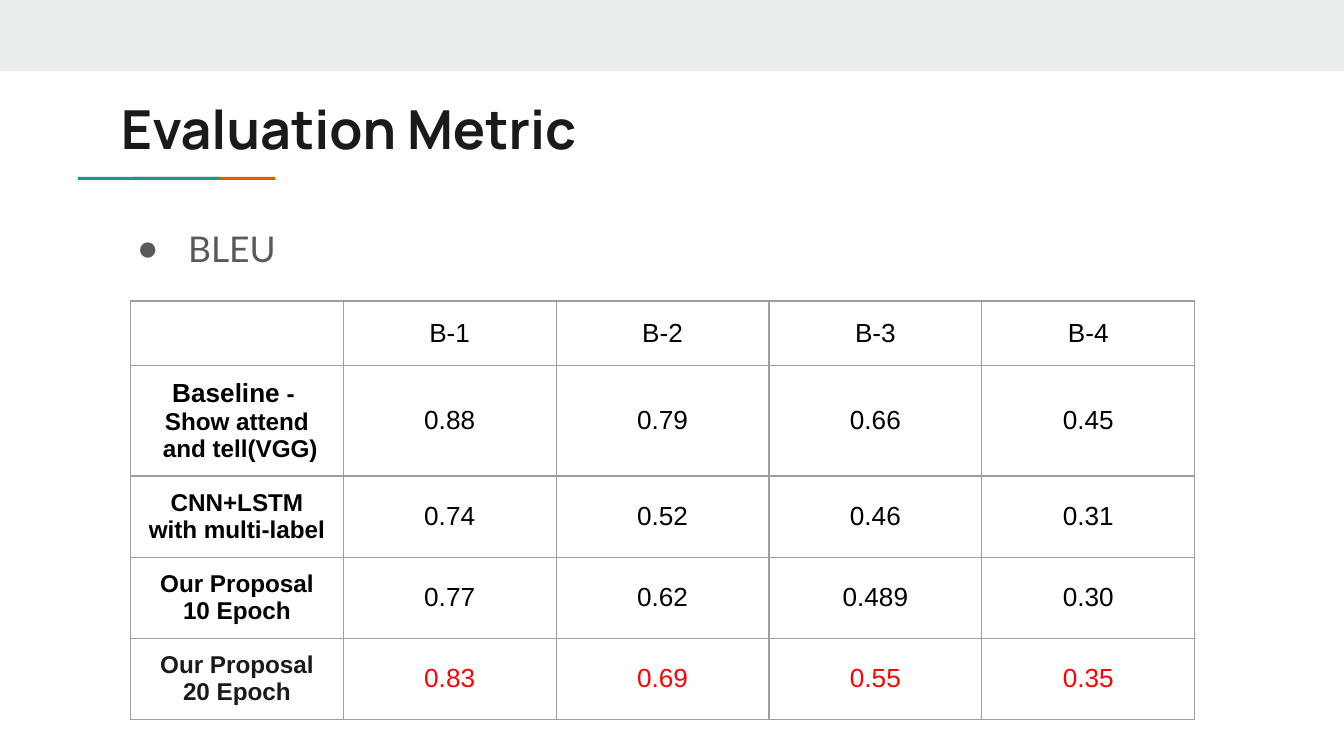
from lxml import etree
from pptx import Presentation, util as u
from pptx.dml.color import RGBColor
from pptx.enum import shapes, text
from pptx.oxml import ns

WIDTH = u.Inches(10)
HEIGHT = WIDTH * 9 // 16
BAND = RGBColor(0xE9, 0xED, 0xEE)
TEAL = RGBColor(0x1A, 0x99, 0x88)
ORANGE = RGBColor(0xEB, 0x56, 0x00)
INK = RGBColor(0x1A, 0x1A, 0x1A)
GREY = RGBColor(0x59, 0x59, 0x59)
BLACK = RGBColor(0, 0, 0)
RED = RGBColor(0xFF, 0, 0)
BORDER = RGBColor(0x9E, 0x9E, 0x9E)

MARGIN = u.Inches(0.1)
TABLE_WIDTH = u.Inches(7.92)
ROW_HEIGHTS = [0.48, 0.82, 0.6, 0.6, 0.6]
HEADERS = ["B-1", "B-2", "B-3", "B-4"]
RESULTS = [
    (["Baseline", "Show attend", " and tell(VGG)"], ["0.88", "0.79", "0.66", "0.45"]),
    (["CNN+LSTM", "with multi-label"], ["0.74", "0.52", "0.46", "0.31"]),
    (["Our Proposal", "10 Epoch"], ["0.77", "0.62", "0.489", "0.30"]),
    (["Our Proposal", "20 Epoch"], ["0.83", "0.69", "0.55", "0.35"]),
]


def add_text(para, words, size=14, font="Arial", color=BLACK, bold=False):
    """Append a formatted run to a paragraph."""
    span = para.add_run()
    span.text = words
    span.font.size = u.Pt(size)
    span.font.name = font
    span.font.color.rgb = color
    span.font.bold = bold


def add_bar(page, left, top, width, height, color):
    """Draw a plain bar placed by percentages of the slide's size."""
    bar = page.shapes.add_shape(
        shapes.MSO_SHAPE.RECTANGLE,
        int(WIDTH * left / 100), int(HEIGHT * top / 100),
        int(WIDTH * width / 100), int(HEIGHT * height / 100))
    bar.shadow.inherit = False
    bar.fill.solid()
    bar.fill.fore_color.rgb = color
    bar.line.fill.background()


def place_box(box, top, height):
    """Move a placeholder and return its first paragraph, set flush left."""
    box.left, box.width = u.Inches(0.8), u.Inches(8.41)
    box.top, box.height = u.Inches(top), u.Inches(height)
    frame = box.text_frame
    frame.margin_left = frame.margin_right = MARGIN
    frame.margin_top = frame.margin_bottom = MARGIN
    frame.vertical_anchor = text.MSO_ANCHOR.TOP
    frame.auto_size = text.MSO_AUTO_SIZE.NONE
    frame.word_wrap = True
    para = frame.paragraphs[0]
    para.alignment = text.PP_ALIGN.LEFT
    para.space_before = u.Pt(0)
    return para


def add_bullet(para, symbol, color):
    """Give a paragraph a hanging bullet."""
    props = para._p.get_or_add_pPr()
    props.set("marL", str(u.Inches(0.5)))
    props.set("indent", str(u.Inches(-0.38)))
    tint = etree.SubElement(props, ns.qn("a:buClr"))
    etree.SubElement(tint, ns.qn("a:srgbClr"), val=str(color))
    etree.SubElement(props, ns.qn("a:buChar"), char=symbol)


def style_cell(cell):
    """Outline a cell and leave it without fill."""
    props = cell._tc.get_or_add_tcPr()
    for side in ("a:lnL", "a:lnR", "a:lnT", "a:lnB"):
        line = etree.SubElement(props, ns.qn(side), w=str(u.Pt(0.75)))
        fill = etree.SubElement(line, ns.qn("a:solidFill"))
        etree.SubElement(fill, ns.qn("a:srgbClr"), val=str(BORDER))
    cell.fill.background()


def fill_cell(cell, lines, size=14, **style):
    """Write centred lines into a cell."""
    cell.margin_left = cell.margin_right = MARGIN
    cell.margin_top = cell.margin_bottom = MARGIN
    cell.vertical_anchor = text.MSO_ANCHOR.MIDDLE
    frame = cell.text_frame
    for index, words in enumerate(lines):
        para = frame.add_paragraph() if index else frame.paragraphs[0]
        para.alignment = text.PP_ALIGN.CENTER
        if words == "Baseline":
            add_text(para, words, size=14, **style)
            add_text(para, " - ", size=size, **style)
        else:
            add_text(para, words, size=size, **style)


def add_scores(page):
    """Build the table of BLEU scores."""
    count = len(HEADERS) + 1
    table = page.shapes.add_table(
        len(ROW_HEIGHTS), count, u.Inches(0.97), u.Inches(2.24),
        TABLE_WIDTH, u.Inches(sum(ROW_HEIGHTS))).table
    table.first_row = table.horz_banding = False
    for column in table.columns:
        column.width = TABLE_WIDTH // count
    for row, height in zip(table.rows, ROW_HEIGHTS):
        row.height = u.Inches(height)
    for cell in table.iter_cells():
        style_cell(cell)
    for col, header in enumerate(HEADERS, 1):
        fill_cell(table.cell(0, col), [header])
    for row, (label, scores) in enumerate(RESULTS, 1):
        last = row == len(RESULTS)
        fill_cell(table.cell(row, 0), label, size=13, bold=True, color=INK if last else BLACK)
        for col, score in enumerate(scores, 1):
            fill_cell(table.cell(row, col), [score], color=RED if last else BLACK)


def main():
    """Build and save the slide."""
    deck = Presentation()
    deck.slide_width, deck.slide_height = WIDTH, HEIGHT
    page = deck.slides.add_slide(deck.slide_layouts[1])
    add_bar(page, 0, 0, 100, 9.45, BAND)
    for left, color in ((9.9, ORANGE), (5.8, TEAL)):
        add_bar(page, left, 23.4, 10.6, 0.4, color)
    title = place_box(page.shapes.title, 0.61, 0.59)
    add_text(title, "Evaluation Metric", size=28.8, font="Manrope", color=INK, bold=True)
    item = place_box(page.placeholders[1], 1.54, 3.21)
    item.line_spacing = 1.15
    add_bullet(item, "●", GREY)
    add_text(item, "BLEU", size=19, font="Lato", color=GREY)
    add_scores(page)
    deck.save("out.pptx")


if __name__ == "__main__":
    main()
